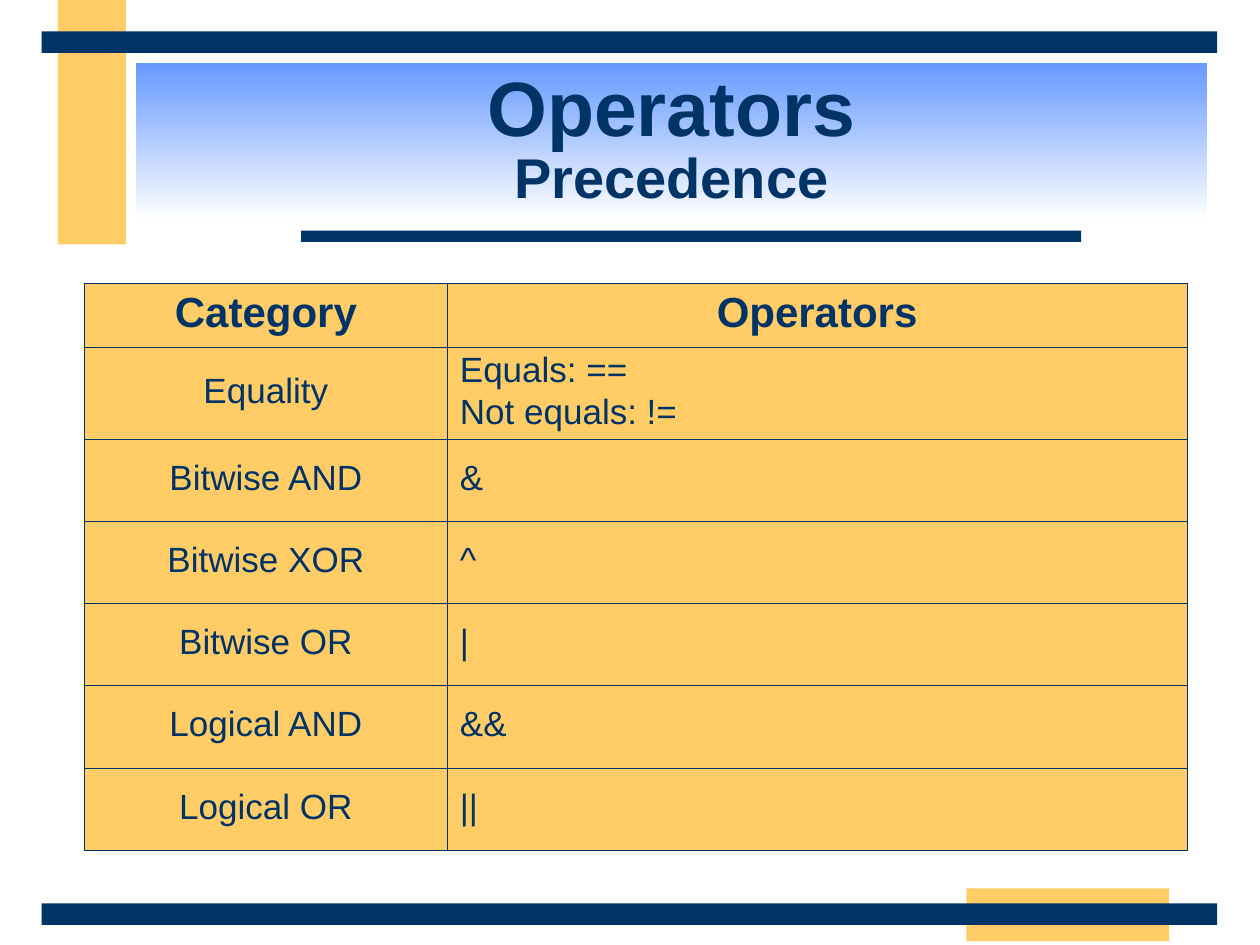
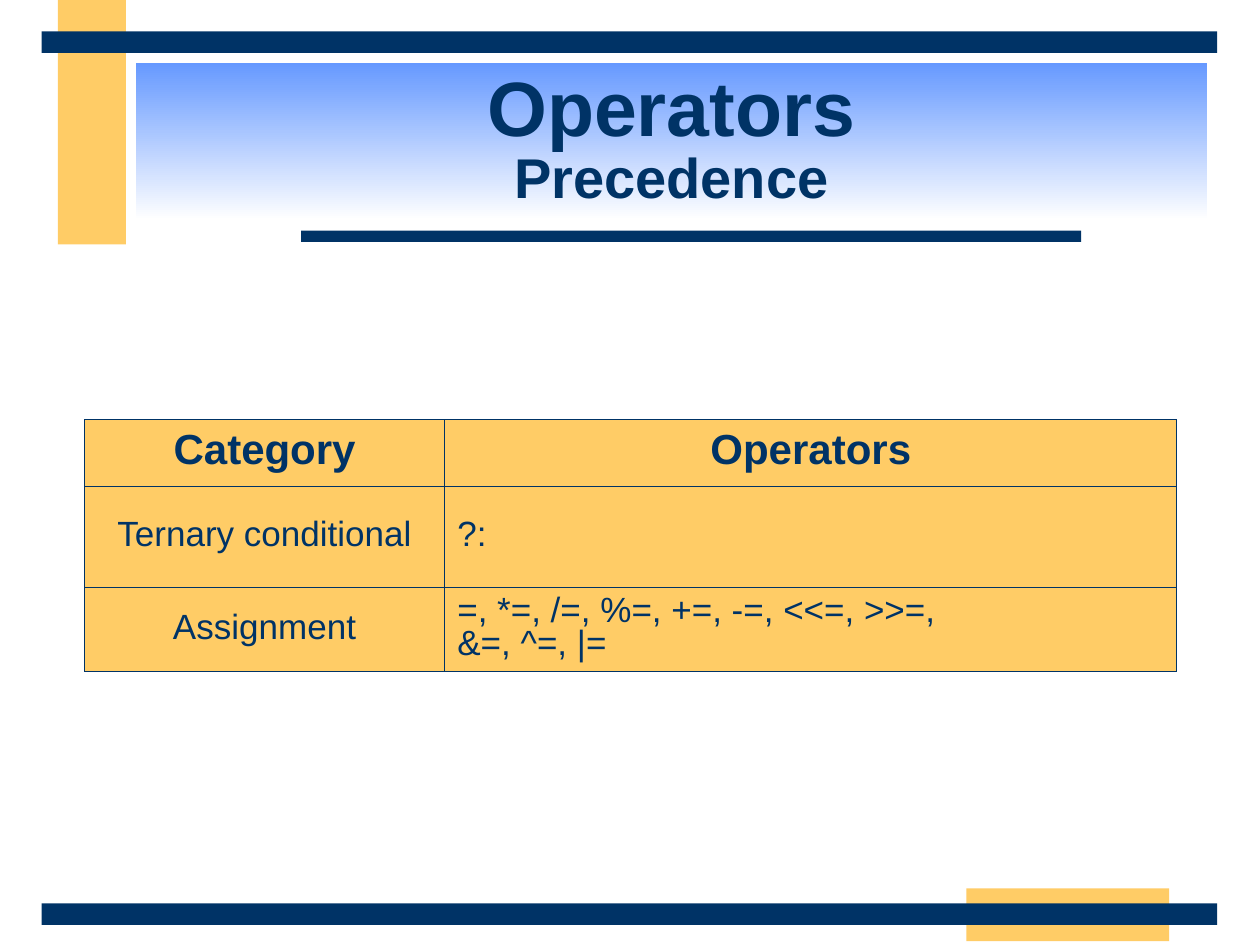
from dataclasses import dataclass

from lxml.etree import SubElement
from pptx import Presentation
from pptx.dml.color import RGBColor
from pptx.enum.shapes import MSO_SHAPE as Shape
from pptx.enum.text import MSO_ANCHOR as Anchor, PP_ALIGN as Align
from pptx.oxml.ns import qn
from pptx.util import Inches, Pt


@dataclass(frozen=True)
class Theme:
    font: str = "Arial"
    navy: str = "003366"
    amber: str = "FFCC66"
    sky: str = "6699FF"
    white: str = "FFFFFF"
    title: int = 44
    subtitle: int = 32
    header: int = 24
    body: int = 20
    border: float = 0.45
    line_spacing: float = 0.85


THEME = Theme()

TITLE = [("Operators", THEME.title), ("Precedence", THEME.subtitle)]
TITLE_AREA = (1.08, 0.5, 8.5, 1.25)
BANDS = [  # left, top, width, height, colour; back to front
    (0.46, 0, 0.54, 1.94, THEME.amber),
    (7.67, 7.05, 1.61, 0.42, THEME.amber),
    (2.39, 1.83, 6.19, 0.09, THEME.navy),
    (0.33, 7.17, 9.33, 0.17, THEME.navy),
    (0.33, 0.25, 9.33, 0.17, THEME.navy),
]

HEADER = ("Category", ["Operators"])
TABLE_LEFT = 0.67
TABLES = [  # each operator entry is a paragraph; "\n" breaks a line inside it
    {
        "top": 2.25,
        "columns": [2.88, 5.87],
        "heights": [0.51, 0.73, 0.65, 0.65, 0.65, 0.66, 0.65],
        "rows": [
            ("Equality", ["Equals: ==", "Not equals: !="]),
            ("Bitwise AND", ["&"]),
            ("Bitwise XOR", ["^"]),
            ("Bitwise OR", ["|"]),
            ("Logical AND", ["&&"]),
            ("Logical OR", ["||"]),
        ],
    },
    {
        "top": 3.33,
        "columns": [2.86, 5.81],
        "heights": [0.53, 0.8, 0.67],
        "rows": [
            ("Ternary conditional", ["?:"]),
            ("Assignment", ["=, *=, /=, %=, +=, -=, <<=, >>=, \n&=, ^=, |="]),
        ],
    },
]


def color(code):
    return RGBColor.from_string(code)


def add_rectangle(page, left, top, width, height):
    box = page.shapes.add_shape(
        Shape.RECTANGLE, *map(Inches, (left, top, width, height)))
    box.shadow.inherit = False
    box.line.fill.background()
    return box


def write_lines(para, lines, bold, align):
    """Write (text, size) pairs, separated by line breaks, in one paragraph."""
    para.alignment = align
    para.line_spacing = THEME.line_spacing
    for index, (text, size) in enumerate(lines):
        if index:
            para.add_line_break()
        span = para.add_run()
        span.text = text
        span.font.name = THEME.font
        span.font.size = Pt(size)
        span.font.bold = bold
        span.font.color.rgb = color(THEME.navy)


def add_bands(page):
    for *area, code in BANDS:
        band = add_rectangle(page, *area)
        band.fill.solid()
        band.fill.fore_color.rgb = color(code)


def add_title(page):
    box = add_rectangle(page, *TITLE_AREA)
    box.fill.gradient()
    box.fill.gradient_angle = 270
    for stop, position, code in zip(
            box.fill.gradient_stops, (0, 1), (THEME.sky, THEME.white)):
        stop.position = position
        stop.color.rgb = color(code)
    frame = box.text_frame
    frame.word_wrap = True
    frame.vertical_anchor = Anchor.MIDDLE
    write_lines(frame.paragraphs[0], TITLE, True, Align.CENTER)


def add_borders(cell):
    properties = cell._tc.get_or_add_tcPr()
    for side in ("lnL", "lnR", "lnT", "lnB"):
        line = SubElement(properties, qn(f"a:{side}"), w=str(int(Pt(THEME.border))))
        fill = SubElement(line, qn("a:solidFill"))
        SubElement(fill, qn("a:srgbClr"), val=THEME.navy)


def fill_cell(cell, entries, is_header, align):
    add_borders(cell)
    cell.fill.solid()
    cell.fill.fore_color.rgb = color(THEME.amber)
    cell.vertical_anchor = Anchor.MIDDLE
    size = THEME.header if is_header else THEME.body
    frame = cell.text_frame
    for index, entry in enumerate(entries):
        para = frame.add_paragraph() if index else frame.paragraphs[0]
        para.space_before = Pt(size / 4)
        lines = [(line, size) for line in entry.split("\n")]
        write_lines(para, lines, is_header, align)


def add_operator_table(page, content):
    rows = [HEADER, *content["rows"]]
    columns, heights = content["columns"], content["heights"]
    area = (TABLE_LEFT, content["top"], sum(columns), sum(heights))
    table = page.shapes.add_table(
        len(rows), len(columns), *map(Inches, area)).table
    table.first_row = table.horz_banding = False
    for column, width in zip(table.columns, columns):
        column.width = Inches(width)
    for index, (category, operators) in enumerate(rows):
        table.rows[index].height = Inches(heights[index])
        is_header = index == 0
        fill_cell(table.cell(index, 0), [category], is_header, Align.CENTER)
        fill_cell(table.cell(index, 1), operators, is_header,
                  Align.CENTER if is_header else Align.LEFT)


def main():
    deck = Presentation()
    deck.slide_width, deck.slide_height = Inches(10), Inches(7.5)
    for content in TABLES:
        page = deck.slides.add_slide(deck.slide_layouts[6])
        add_bands(page)
        add_title(page)
        add_operator_table(page, content)
    deck.save("out.pptx")


if __name__ == "__main__":
    main()
